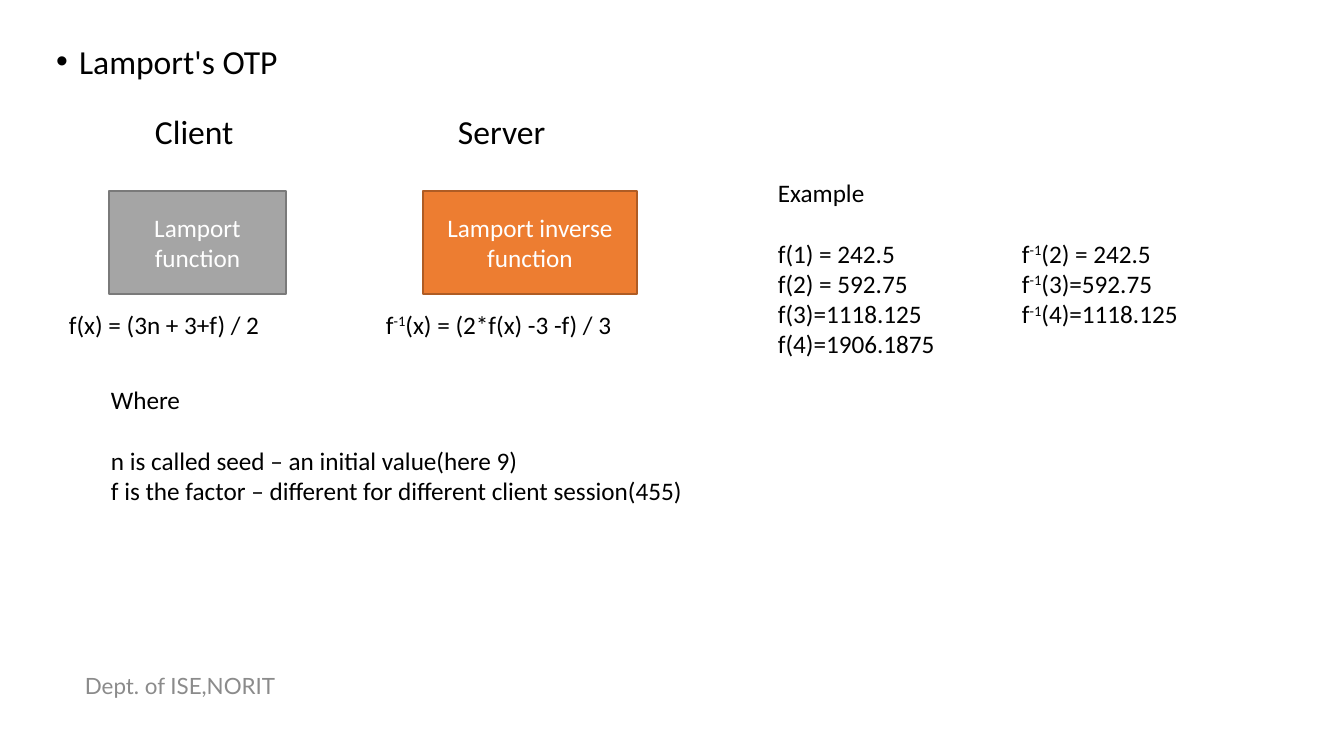
import pptx
import pptx.util
import pptx.dml.color
import pptx.enum.shapes
import pptx.enum.text
import pptx.oxml
import pptx.oxml.ns

Align = pptx.enum.text.PP_ALIGN
Anchor = pptx.enum.text.MSO_ANCHOR
HUES = {"ink": "000000", "white": "FFFFFF", "mute": "8B8B8B",
        "gray": "A5A5A5", "gray edge": "7A7A7A",
        "orange": "ED7D31", "orange edge": "AF5C24"}


def px(num):
    return pptx.util.Emu(round(num * 914400 / 100.8))


def hue(name):
    return pptx.dml.color.RGBColor.from_string(HUES[name])


def write(frame, text, font="Calibri", size=18, color="ink", align=Align.LEFT,
          anchor=Anchor.TOP, wrap=True, gap=0):
    """Fill a frame line by line; ^marks^ raise text, gap follows line one."""
    frame.word_wrap = wrap
    frame.auto_size = pptx.enum.text.MSO_AUTO_SIZE.NONE
    frame.vertical_anchor = anchor
    for row, line in enumerate(text.split("\n")):
        para = frame.add_paragraph() if row else frame.paragraphs[0]
        para.alignment = align
        para.space_before = pptx.util.Pt(gap if row == 1 else 0)
        for spot, part in enumerate(line.split("^")):
            run = para.add_run()
            run.text = part
            run.font.name = font
            run.font.size = pptx.util.Pt(size)
            run.font.color.rgb = hue(color)
            if spot % 2:
                run._r.get_or_add_rPr().set("baseline", "30000")


class Deck:
    def __init__(self):
        self.show = pptx.Presentation()
        self.show.slide_width, self.show.slide_height = px(1344), px(756)
        self.slide = self.show.slides.add_slide(self.show.slide_layouts[5])

    def title(self, text, box, **style):
        shape = self.slide.shapes.title
        shape.left, shape.top, shape.width, shape.height = map(px, box)
        write(shape.text_frame, text, **style)
        props = shape.text_frame.paragraphs[0]._p.get_or_add_pPr()
        props.set("marL", str(px(23)))
        props.set("indent", str(px(-23)))
        space = pptx.oxml.ns.nsdecls("a")
        for tag in ('buFont %s typeface="Arial"', 'buChar %s char="•"'):
            props.append(pptx.oxml.parse_xml(f"<a:{tag % space}/>"))

    def label(self, text, box, **style):
        shape = self.slide.shapes.add_textbox(*map(px, box))
        write(shape.text_frame, text, **style)

    def block(self, text, box, fill):
        kind = pptx.enum.shapes.MSO_SHAPE.RECTANGLE
        shape = self.slide.shapes.add_shape(kind, *map(px, box))
        shape.shadow.inherit = False
        shape.fill.solid()
        shape.fill.fore_color.rgb = hue(fill)
        shape.line.color.rgb = hue(fill + " edge")
        shape.line.width = pptx.util.Pt(1)
        write(shape.text_frame, text, color="white", align=Align.CENTER,
              anchor=Anchor.MIDDLE)


def main():
    deck = Deck()

    # Title and footer
    deck.title("Lamport's OTP", (46, 36, 1130, 52), size=24)
    deck.label("Dept. of ISE,NORIT", (75, 666, 695, 40), font="Lato", size=16,
               color="mute", anchor=Anchor.MIDDLE)

    # Client and server columns
    deck.label("Client", (145, 106, 150, 52), size=24)
    deck.label("Server", (448, 106, 150, 52), size=24)
    deck.block("Lamport function", (109, 191, 177, 103), "gray")
    deck.block("Lamport inverse function", (423, 191, 214, 103), "orange")
    deck.label("f(x) = (3n + 3+f) / 2", (59, 304, 276, 40), wrap=False)
    deck.label("f^-1^(x) = (2*f(x) -3 -f) / 3", (376, 304, 307, 40), wrap=False)

    # Terms
    deck.label("Where\nn is called seed – an initial value(here 9)\n"
               "f is the factor – different for different client session(455)",
               (101, 379, 622, 192), gap=22)

    # Worked example
    deck.label("Example\nf(1) = 242.5\nf(2) = 592.75\nf(3)=1118.125\n"
               "f(4)=1906.1875", (768, 172, 222, 192), wrap=False, gap=22)
    deck.label("f^-1^(2) = 242.5\nf^-1^(3)=592.75\nf^-1^(4)=1118.125",
               (1012, 233, 220, 100), wrap=False)

    deck.show.save("out.pptx")


if __name__ == "__main__":
    main()
